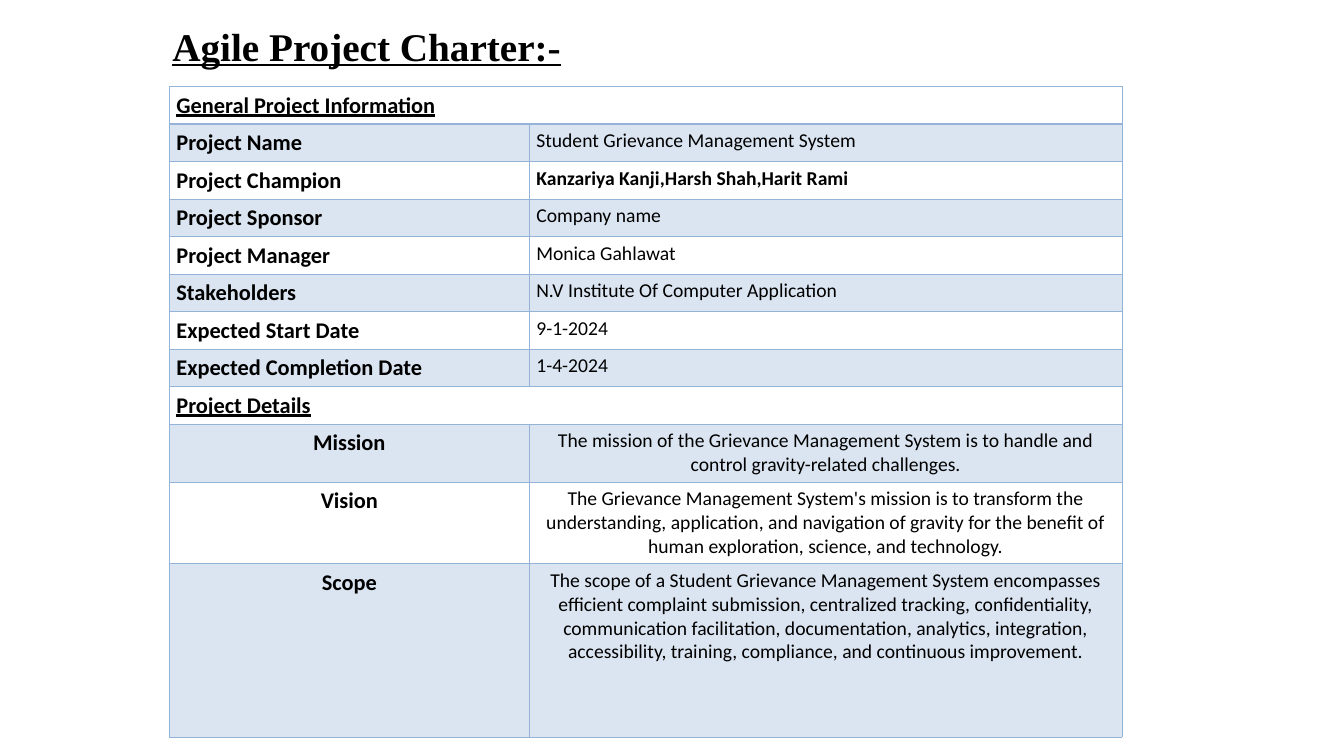
from pptx import Presentation, util as u
from pptx.dml.color import RGBColor
from pptx.enum import text
from pptx.oxml import parse_xml
from pptx.oxml.ns import nsdecls

COLOURS = {"ink": "000000", "band": "DBE5F1", "border": "95B3D7"}
LEFT, CENTER = text.PP_ALIGN.LEFT, text.PP_ALIGN.CENTER

GENERAL = [
    ("Project Name", "Student Grievance Management System"),
    ("Project Champion", "Kanzariya Kanji,Harsh Shah,Harit Rami"),
    ("Project Sponsor", "Company name"),
    ("Project Manager", "Monica Gahlawat"),
    ("Stakeholders", "N.V Institute Of Computer Application"),
    ("Expected Start Date", "9-1-2024"),
    ("Expected Completion Date", "1-4-2024"),
]
DETAILS = [
    ("Mission", "The mission of the Grievance Management System is to handle and "
     "control gravity-related challenges."),
    ("Vision", "The Grievance Management System's mission is to transform the "
     "understanding, application, and navigation of gravity for the benefit of "
     "human exploration, science, and technology."),
    ("Scope", "The scope of a Student Grievance Management System encompasses "
     "efficient complaint submission, centralized tracking, confidentiality, "
     "communication facilitation, documentation, analytics, integration, "
     "accessibility, training, compliance, and continuous improvement."),
]
DETAIL_HEIGHTS = [0.56, 0.75, 1.72]


def write(frame, words, size=14, font="Calibri", bold=False, underline=False, align=LEFT):
    paragraph = frame.paragraphs[0]
    paragraph.alignment = align
    run = paragraph.add_run()
    run.text = words
    run.font.name, run.font.size = font, u.Pt(size)
    run.font.bold, run.font.underline = bold, underline
    run.font.color.rgb = RGBColor.from_string(COLOURS["ink"])


class CharterSlide:
    """Builds the elements of the charter slide in one style."""

    def __init__(self, deck):
        self.slide = deck.slides.add_slide(deck.slide_layouts[5])

    def title(self, words):
        heading = self.slide.shapes.title
        heading.left, heading.top = u.Inches(1.61), u.Inches(0.1)
        heading.width, heading.height = u.Inches(9.5), u.Inches(0.7)
        heading.text_frame.vertical_anchor = text.MSO_ANCHOR.MIDDLE
        write(heading.text_frame, words, 28, "Times New Roman", bold=True, underline=True)

    def style_cell(self, cell, banded, top, bottom):
        cell.margin_left = cell.margin_right = u.Inches(0.07)
        cell.margin_top = cell.margin_bottom = u.Inches(0.05)
        properties = cell._tc.get_or_add_tcPr()
        for side, width in (("L", 0.5), ("R", 0.5), ("T", top), ("B", bottom)):
            properties.append(parse_xml(
                f'<a:ln{side} {nsdecls("a")} w="{u.Pt(width)}"><a:solidFill>'
                f'<a:srgbClr val="{COLOURS["border"]}"/></a:solidFill></a:ln{side}>'))
        if banded:
            cell.fill.solid()
            cell.fill.fore_color.rgb = RGBColor.from_string(COLOURS["band"])
        else:
            cell.fill.background()

    def charter(self, rows, heights, widths):
        table = self.slide.shapes.add_table(
            len(rows), len(widths), u.Inches(1.68), u.Inches(0.86),
            u.Inches(sum(widths)), u.Inches(sum(heights))).table
        table.first_row = table.horz_banding = False
        for column, width in zip(table.columns, widths):
            column.width = u.Inches(width)
        for index, ((label, value, align), height) in enumerate(zip(rows, heights)):
            table.rows[index].height = u.Inches(height)
            label_cell, value_cell = table.cell(index, 0), table.cell(index, 1)
            for cell in (label_cell, value_cell):
                self.style_cell(cell, banded=index % 2 == 1,
                                top=1.5 if index == 1 else 0.5,
                                bottom=1.5 if index == 0 else 0.5)
            write(label_cell.text_frame, label, 16, bold=True,
                  underline=value is None, align=align)
            if value is None:
                label_cell.merge(value_cell)
            else:
                write(value_cell.text_frame, value, align=align,
                      bold=label == "Project Champion")


def main():
    deck = Presentation()
    deck.slide_width, deck.slide_height = u.Inches(13.33), u.Inches(7.5)
    page = CharterSlide(deck)
    page.title("Agile Project Charter:-")
    rows = [("General Project Information", None, LEFT)]
    rows += [(label, value, LEFT) for label, value in GENERAL]
    rows += [("Project Details", None, LEFT)]
    single_line_heights = [0.34] * len(rows)
    rows += [(label, value, CENTER) for label, value in DETAILS]
    page.charter(rows, single_line_heights + DETAIL_HEIGHTS, [3.57, 5.88])
    deck.save("out.pptx")


if __name__ == "__main__":
    main()
